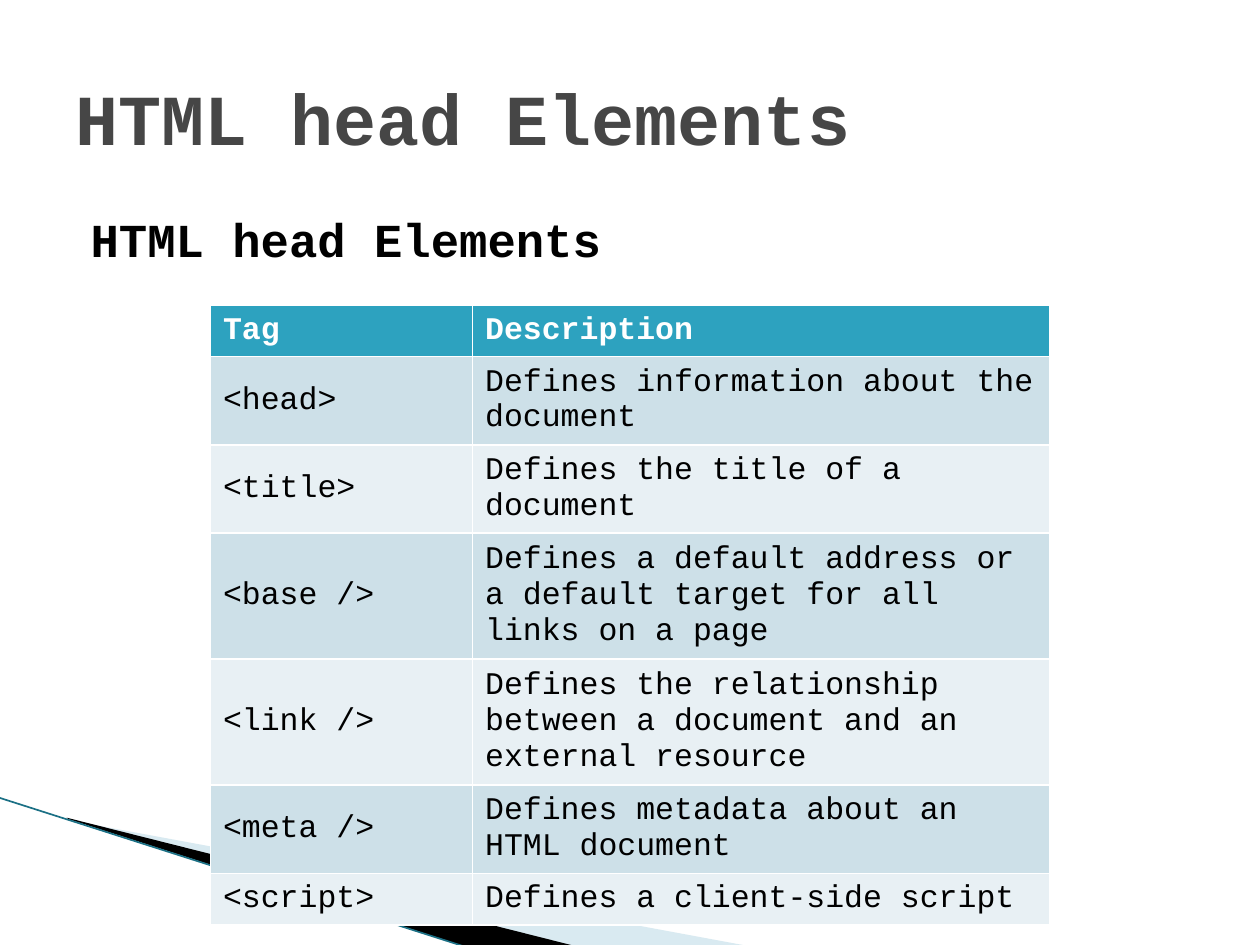
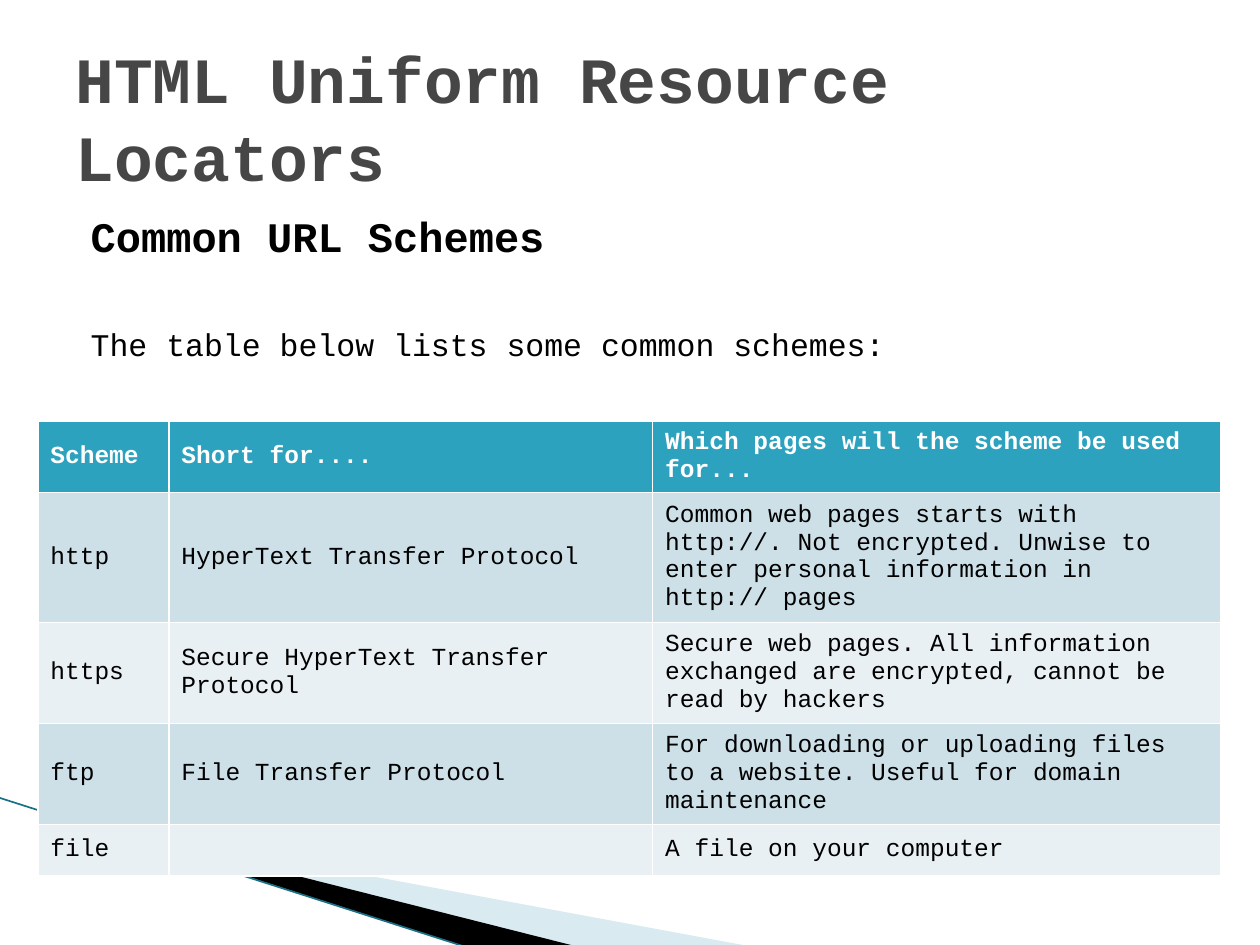
from dataclasses import dataclass

from lxml.etree import SubElement
from pptx import Presentation
from pptx.dml.color import RGBColor
from pptx.enum.shapes import MSO_CONNECTOR
from pptx.enum.text import MSO_ANCHOR
from pptx.oxml.ns import qn
from pptx.util import Inches, Pt


@dataclass(frozen=True)
class Theme:
    font: str = "Courier New"
    title: str = "464646"
    text: str = "000000"
    white: str = "FFFFFF"
    header: str = "2DA2BF"
    bands: tuple = ("CDE0E8", "E8F0F4")
    wedge_light: str = "A0CBDC"
    wedge_dark: str = "000000"
    edge: str = "1B7085"
    row_height: float = 0.41
    body_size: float = 18


T = Theme()

HEAD_TAGS = [
    ("Tag", "Description"),
    ("<head>", "Defines information about the document"),
    ("<title>", "Defines the title of a document"),
    ("<base />", "Defines a default address or a default target for all links on a page"),
    ("<link />", "Defines the relationship between a document and an external resource"),
    ("<meta />", "Defines metadata about an HTML document"),
    ("<script>", "Defines a client-side script"),
]

URL_SCHEMES = [
    ("Scheme", "Short for....", "Which pages will the scheme be used for..."),
    ("http", "HyperText Transfer Protocol",
     "Common web pages starts with http://. Not encrypted. "
     "Unwise to enter personal information in http:// pages"),
    ("https", "Secure HyperText Transfer Protocol",
     "Secure web pages. All information exchanged are encrypted, cannot be read by hackers"),
    ("ftp", "File Transfer Protocol",
     "For downloading or uploading files to a website. Useful for domain maintenance"),
    ("file", "", "A file on your computer"),
]


def rgb(value):
    return RGBColor.from_string(value)


def set_text(p, text, size, color, bold=False):
    p.text = text
    font = p.font
    font.name, font.size, font.bold = T.font, Pt(size), bold
    font.color.rgb = rgb(color)


def add_textbox(s, left, top, width, height):
    tf = s.shapes.add_textbox(*map(Inches, (left, top, width, height))).text_frame
    tf.word_wrap = True
    return tf


# Corner decoration shared by the slides
def add_wedge(s, points, color, alpha=None):
    start, *rest = [(Inches(x), Inches(y)) for x, y in points]
    builder = s.shapes.build_freeform(*start)
    builder.add_line_segments(rest, close=True)
    sp = builder.convert_to_shape()
    sp.shadow.inherit = False
    sp.line.fill.background()
    sp.fill.solid()
    sp.fill.fore_color.rgb = rgb(color)
    if alpha is not None:
        clr = sp.fill._xPr.find(qn("a:solidFill"))[0]
        SubElement(clr, qn("a:alpha"), val=str(alpha * 1000))


def add_corner(s):
    add_wedge(s, [(0.55, 6.51), (5.95, 7.51), (4.56, 7.51), (0.55, 6.5)], T.wedge_light, 40)
    add_wedge(s, [(0.53, 6.49), (4.57, 7.51), (3.72, 7.52), (0.54, 6.5)], T.wedge_dark)
    edge = s.shapes.add_connector(
        MSO_CONNECTOR.STRAIGHT, *map(Inches, (-0.01, 6.33, 3.71, 7.52)))
    edge.line.color.rgb = rgb(T.edge)
    edge.line.width = Pt(0.95)
    SubElement(edge._element.spPr, qn("a:effectLst"))


# Title and body text
def add_title(s, text, size):
    tf = add_textbox(s, 0.5, 0.3, 9, 1.25)
    tf.vertical_anchor = MSO_ANCHOR.MIDDLE
    set_text(tf.paragraphs[0], text, size, T.title, bold=True)


def add_body(s, heading, size, note=None):
    tf = add_textbox(s, 0.5, 1.62, 9, 4.95)
    tf.margin_left = Inches(0.22)
    p = tf.paragraphs[0]
    set_text(p, heading, size, T.text, bold=True)
    p.space_before = Pt(4)
    if note:
        p = tf.add_paragraph()
        set_text(p, note, T.body_size, T.text)
        p.space_before = Pt(36.5)


# Tables: the default style supplies the white rules, thick under the header
def add_grid(s, left, top, widths, rows, size):
    table = s.shapes.add_table(
        len(rows), len(widths), Inches(left), Inches(top),
        Inches(sum(widths)), Inches(T.row_height * len(rows))).table
    for column, width in zip(table.columns, widths):
        column.width = Inches(width)
    for i, row in enumerate(rows):
        is_header = i == 0
        table.rows[i].height = Inches(T.row_height)
        for cell, text in zip(table.rows[i].cells, row):
            cell.vertical_anchor = MSO_ANCHOR.MIDDLE
            cell.fill.solid()
            cell.fill.fore_color.rgb = rgb(T.header if is_header else T.bands[(i - 1) % 2])
            set_text(cell.text_frame.paragraphs[0], text, size,
                     T.white if is_header else T.text, bold=is_header)


def add_base_slide(prs, title, title_size):
    s = prs.slides.add_slide(prs.slide_layouts[6])
    add_corner(s)
    add_title(s, title, title_size)
    return s


def main():
    prs = Presentation()
    prs.slide_width, prs.slide_height = Inches(10), Inches(7.5)

    # Head elements
    s = add_base_slide(prs, "HTML head Elements", 41)
    add_body(s, "HTML head Elements", 27)
    add_grid(s, 1.67, 2.42, (2.08, 4.58), HEAD_TAGS, 18)

    # URL schemes
    s = add_base_slide(prs, "HTML Uniform Resource Locators", 36.9)
    add_body(s, "Common URL Schemes", 24, "The table below lists some common schemes:")
    add_grid(s, 0.3, 3.34, (1.04, 3.84, 4.51), URL_SCHEMES, 14)

    prs.save("out.pptx")


if __name__ == "__main__":
    main()
